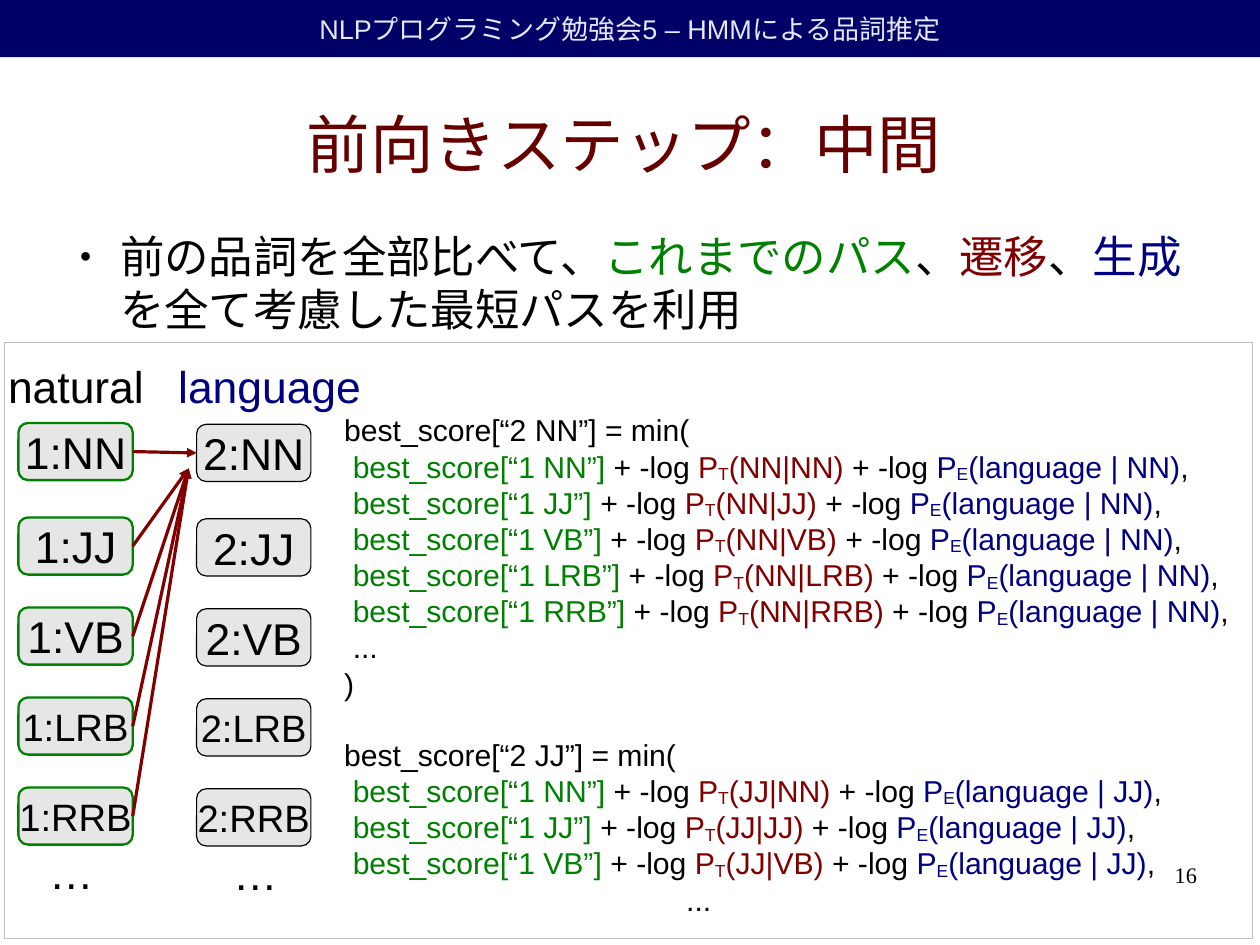
from lxml.etree import SubElement
from pptx import Presentation
from pptx.dml.color import RGBColor
from pptx.enum.shapes import MSO_CONNECTOR as Link, MSO_SHAPE as Kind
from pptx.enum.text import MSO_ANCHOR as Anchor, MSO_AUTO_SIZE as Auto, PP_ALIGN as Align
from pptx.oxml.ns import qn
from pptx.util import Cm, Pt

BLACK = RGBColor(0x00, 0x00, 0x00)
GREEN = RGBColor(0x00, 0x80, 0x00)
RED = RGBColor(0x80, 0x00, 0x00)
BLUE = RGBColor(0x00, 0x00, 0x80)
WINE = RGBColor(0x66, 0x00, 0x00)
NAVY = RGBColor(0x00, 0x00, 0x66)
PALE = RGBColor(0xE6, 0xE6, 0xFF)
GREY = RGBColor(0xE6, 0xE6, 0xE6)
EDGE = RGBColor(0xC0, 0xC0, 0xC0)

HEAD = "NLPプログラミング勉強会5 – HMMによる品詞推定"
TITLE = "前向きステップ：中間"
POINT = [
    ("前の品詞を全部比べて、", BLACK),
    ("これまでのパス", GREEN),
    ("、", BLACK),
    ("遷移", RED),
    ("、", BLACK),
    ("生成", BLUE),
    ("を全て考慮した最短パスを利用", BLACK),
]
TAGS = [("NN", 28, 9.4), ("JJ", 28, 11.5), ("VB", 28, 13.5), ("LRB", 24, 15.5), ("RRB", 24, 17.5)]
COLS = [(1, 0.41, 0, GREEN, 1.45), (2, 4.37, 0.03, BLACK, 0)]
LABELS = [
    ("natural", BLACK, 0.18, 7.98, 3.6),
    ("language", BLUE, 3.96, 7.98, 4.6),
    ("…", BLACK, 1.09, 18.77, 1.3),
    ("…", BLACK, 5.18, 18.8, 1.3),
]
CODE = [
    ("NN", ["NN", "JJ", "VB", "LRB", "RRB"], [("...", 0.19), (")", 0)], 9.15, 7.1),
    ("JJ", ["NN", "JJ", "VB"], [("...", 7.6)], 16.36, 4.4),
]
BOX_W, BOX_H = 2.54, 1.27
TIP = Cm(4.19), Cm(10.41)


def write(par, runs, size, face="Arial"):
    for text, tint, *base in runs:
        run = par.add_run()
        run.text = text
        run.font.size = Pt(size)
        run.font.name = face
        run.font.color.rgb = tint
        if base:
            run.font._element.set("baseline", str(base[0] * 1000))


def frame(shape, anchor=Anchor.TOP, wrap=True):
    text = shape.text_frame
    text.margin_left = text.margin_right = text.margin_top = text.margin_bottom = 0
    text.auto_size = Auto.NONE
    text.vertical_anchor = anchor
    text.word_wrap = wrap
    return text


def place(shape, left, top, width, height):
    shape.left, shape.top, shape.width, shape.height = map(Cm, (left, top, width, height))


def label(left, top, width, height):
    return frame(slide.shapes.add_textbox(Cm(left), Cm(top), Cm(width), Cm(height)))


def block(kind, left, top, width, height, fill=None, line=None, thick=0):
    shape = slide.shapes.add_shape(kind, Cm(left), Cm(top), Cm(width), Cm(height))
    shape.shadow.inherit = False
    if fill is None:
        shape.fill.background()
    else:
        shape.fill.solid()
        shape.fill.fore_color.rgb = fill
    if line is None:
        shape.line.fill.background()
    else:
        shape.line.color.rgb = line
        shape.line.width = Pt(thick)
    return shape


def arrow(start, end=None):
    link = slide.shapes.add_connector(Link.STRAIGHT, 0, 0, *TIP)
    link.begin_connect(start, 3)
    if end is not None:
        link.end_connect(end, 1)
    link.line.color.rgb = RED
    link.line.width = Pt(0)
    SubElement(link.line._get_or_add_ln(), qn("a:tailEnd"), type="triangle")
    SubElement(link._element.spPr, qn("a:effectLst"))


def score(tag, prev):
    return [
        (f"best_score[“1 {prev}”]", GREEN),
        (" + -log ", BLACK),
        ("P", RED), ("T", RED, -8), (f"({tag}|{prev})", RED),
        (" + -log ", BLACK),
        ("P", BLUE), ("E", BLUE, -8), (f"(language | {tag})", BLUE),
        (",", BLACK),
    ]


deck = Presentation()
deck.slide_width, deck.slide_height = Cm(28), Cm(21)
slide = deck.slides.add_slide(deck.slide_layouts[1])

bar = block(Kind.RECTANGLE, 0, 0, 28, 1.27, NAVY)
par = frame(bar, Anchor.MIDDLE).paragraphs[0]
par.alignment = Align.CENTER
write(par, [(HEAD, PALE)], 17)

title = slide.shapes.title
place(title, 1.27, 1.57, 25.2, 3.23)
par = frame(title, Anchor.MIDDLE).paragraphs[0]
par.alignment = Align.CENTER
write(par, [(TITLE, WINE)], 40)

body = slide.placeholders[1]
place(body, 1.47, 5.08, 25.2, 13.87)
par = frame(body).paragraphs[0]
par.space_before, par.space_after = Pt(0), Pt(14.2)
props = par._p.get_or_add_pPr()
props.set("marL", str(Cm(1.2)))
props.set("indent", str(Cm(-0.9)))
SubElement(props, qn("a:buSzPct"), val="45000")
SubElement(props, qn("a:buFont"), typeface="Arial")
SubElement(props, qn("a:buChar"), char="●")
write(par, POINT, 28)

block(Kind.RECTANGLE, 0.1, 7.62, 27.74, 13.23, None, EDGE)

nodes = {}
for step, left, drop, edge, thick in COLS:
    for tag, size, top in TAGS:
        node = block(Kind.ROUNDED_RECTANGLE, left, top + drop, BOX_W, BOX_H, GREY, edge, thick)
        par = frame(node, Anchor.MIDDLE, False).paragraphs[0]
        par.alignment = Align.CENTER
        write(par, [(f"{step}:{tag}", BLACK)], size)
        nodes[step, tag] = node

for tag, *rest in TAGS:
    arrow(nodes[1, tag], nodes[2, tag] if tag == "NN" else None)

for text, tint, left, top, width in LABELS:
    write(label(left, top, width, 1.2).paragraphs[0], [(text, tint)], 28)

for tag, prevs, tail, top, height in CODE:
    lines = [([(f"best_score[“2 {tag}”] = min(", BLACK)], 0)]
    lines += [(score(tag, prev), 0.19) for prev in prevs]
    lines += [([(text, BLACK)], inset) for text, inset in tail]
    text = label(7.65, top, 20.2, height)
    for num, (runs, inset) in enumerate(lines):
        par = text.add_paragraph() if num else text.paragraphs[0]
        par._p.get_or_add_pPr().set("marL", str(Cm(inset)))
        write(par, runs, 19)

par = label(20.07, 19.13, 6.53, 1.45).paragraphs[0]
par.alignment = Align.RIGHT
write(par, [("16", BLACK)], 14, "Times New Roman")

deck.save("out.pptx")
